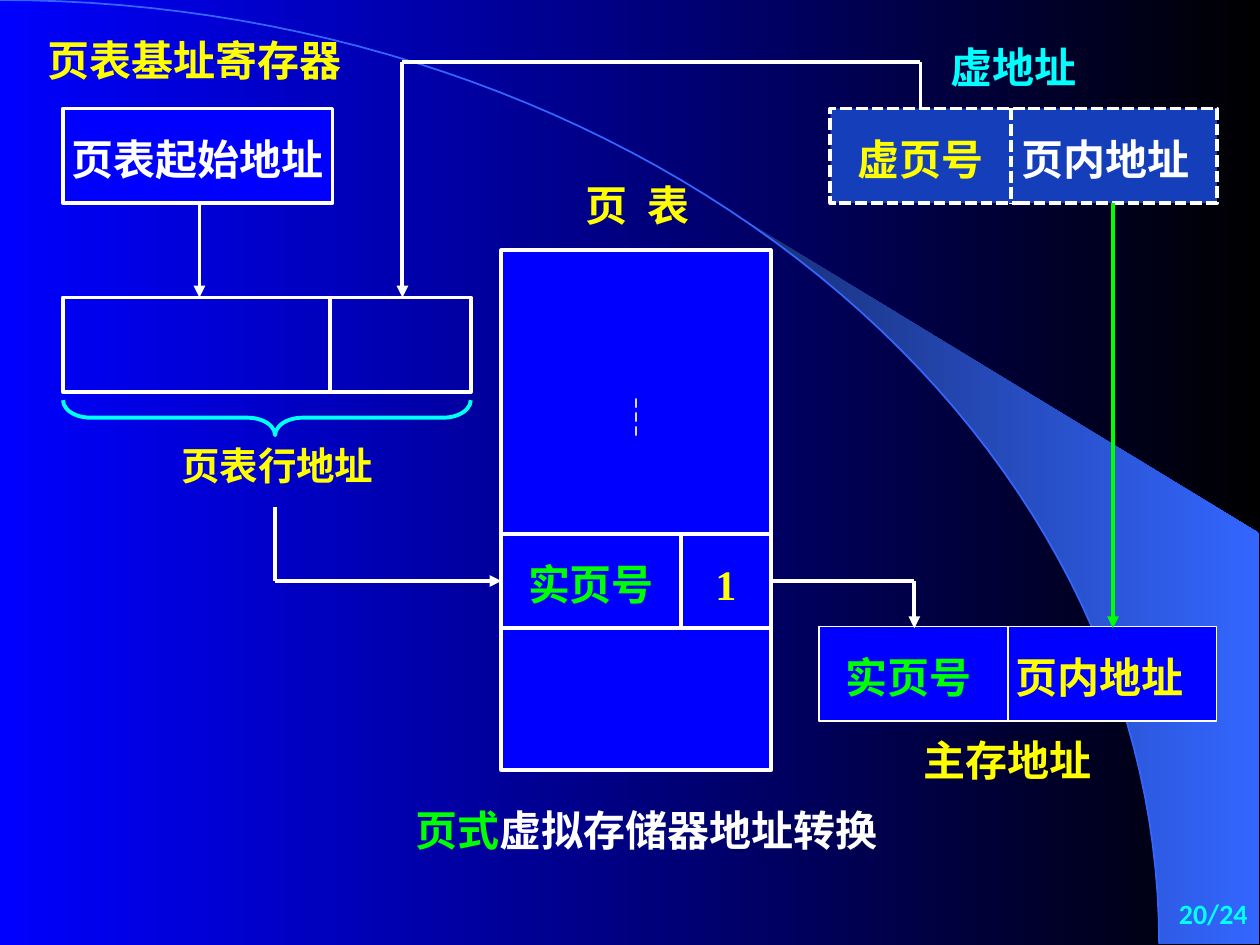
import math
from dataclasses import dataclass
from lxml import etree
from pptx import Presentation
from pptx.dml.color import RGBColor
from pptx.enum import dml, shapes, text
from pptx.oxml import ns
from pptx.util import Pt


@dataclass(frozen=True)
class Theme:
    white: str = "FFFFFF"
    black: str = "000000"
    blue: str = "0000FF"
    yellow: str = "FFFF00"
    cyan: str = "00FFFF"
    green: str = "00FF00"
    virtual_fill: str = "153FBA"
    glow_dark: str = "182F76"
    glow: str = "3366FF"
    latin: str = "Times New Roman"
    cjk: str = "Noto Sans CJK SC"
    number_font: str = "Calibri"
    body: float = 24
    small: float = 22
    number: float = 16
    thick: float = 2.25
    thin: float = 0.75


T = Theme()
LEFT, CENTER, RIGHT = text.PP_ALIGN.LEFT, text.PP_ALIGN.CENTER, text.PP_ALIGN.RIGHT
DASH = dml.MSO_LINE.SQUARE_DOT


def rgb(color):
    return RGBColor.from_string(color)


def set_gradient(fill, start, end):
    fill.gradient()
    fill.gradient_angle = 0
    for stop, color, position in zip(fill.gradient_stops, (start, end), (0, 1)):
        stop.color.rgb = rgb(color)
        stop.position = position


def set_line(line, color=T.white, width=T.thick, dash=None):
    line.color.rgb = rgb(color)
    line.width = Pt(width)
    if dash:
        line.dash_style = dash


def label(slide, box, runs, align=CENTER, size=T.body, font=T.latin,
          left=0, top=0, right=0, spacing=0):
    """One line of (words, color) runs, vertically centred in box."""
    frame = slide.shapes.add_textbox(*map(Pt, box)).text_frame
    frame.word_wrap = True
    frame.vertical_anchor = text.MSO_ANCHOR.MIDDLE
    frame.margin_left, frame.margin_top = Pt(left), Pt(top)
    frame.margin_right, frame.margin_bottom = Pt(right), 0
    line = frame.paragraphs[0]
    line.alignment = align
    for words, color in runs:
        run = line.add_run()
        run.text = words
        run.font.size, run.font.bold, run.font.name = Pt(size), True, font
        run.font.color.rgb = rgb(color)
        props = run.font._element
        etree.SubElement(props, ns.qn("a:ea")).set("typeface", T.cjk)
        if spacing:
            props.set("spc", str(spacing * 100))


def cell_text(slide, box, words, color, align=CENTER, left=0):
    label(slide, box, [(words, color)], align, left=left, top=3.6)


def frame_box(slide, box, fill=None, width=T.thick, dash=None):
    rect = slide.shapes.add_shape(shapes.MSO_SHAPE.RECTANGLE, *map(Pt, box))
    rect.shadow.inherit = False
    if fill:
        rect.fill.solid()
        rect.fill.fore_color.rgb = rgb(fill)
    else:
        rect.fill.background()
    set_line(rect.line, width=width, dash=dash)


def route(slide, points, color=T.white, arrow=True, dash=None):
    """Straight connectors through points, with an arrowhead on the last."""
    for start, end in zip(points, points[1:]):
        leg = slide.shapes.add_connector(
            shapes.MSO_CONNECTOR.STRAIGHT, *map(Pt, start + end))
        set_line(leg.line, color, dash=dash)
        if arrow and end == points[-1]:
            etree.SubElement(leg.line._get_or_add_ln(), ns.qn("a:tailEnd")).set("type", "triangle")
        etree.SubElement(leg._element.spPr, ns.qn("a:effectLst"))


def outline(slide, points, closed):
    start, *rest = [(Pt(x), Pt(y)) for x, y in points]
    builder = slide.shapes.build_freeform(*start)
    builder.add_line_segments(rest, close=closed)
    shape = builder.convert_to_shape()
    shape.shadow.inherit = False
    return shape


def backdrop(slide, x, y, w, h):
    set_gradient(slide.background.fill, T.blue, T.black)
    rx, ry = 0.92 * w, h - 0.7

    def arc(first, last, steps=60):
        angles = [math.radians(first + (last - first) * i / steps) for i in range(steps + 1)]
        return [(x + rx * math.sin(a), y + ry * (1 - math.cos(a))) for a in angles]

    # Glow between the tangent and the curve
    glow = outline(slide, arc(39.8, 90) + [(x + w - 0.7, y + ry), (x + w - 0.7, y + 304.6)], True)
    set_gradient(glow.fill, T.glow_dark, T.glow)
    glow.line.fill.background()
    # Curve
    curve = outline(slide, arc(0, 90), False)
    curve.fill.background()
    set_line(curve.line, T.glow, 1)


def base_register(slide, x, y, w, h):
    label(slide, (x - 8.6, y - 43, 180, 30), [("页表基址寄存器", T.yellow)], LEFT)
    frame_box(slide, (x, y, w, h), T.blue)
    cell_text(slide, (x, y, w, h), "页表起始地址", T.white)


def row_address(slide, x, y, w, h):
    frame_box(slide, (x, y, w, h))
    split = x + 152.6
    route(slide, [(split, y), (split, y + h)], arrow=False)
    # Brace below: a right brace turned to point down
    depth, middle = 20, y + h + 14.7
    brace = slide.shapes.add_shape(
        shapes.MSO_SHAPE.RIGHT_BRACE, Pt(x + w / 2 - depth / 2), Pt(middle - w / 2),
        Pt(depth), Pt(w))
    brace.rotation = 90
    brace.adjustments[0], brace.adjustments[1] = 0.79, 0.48
    brace.shadow.inherit = False
    brace.fill.background()
    set_line(brace.line, T.cyan)
    label(slide, (x + 62.5, y + h + 26.7, 120, 30), [("页表行地址", T.yellow)], size=T.small)


def virtual_address(slide, x, y, w, h):
    label(slide, (x + 59.5, y - 39, 90, 30), [("虚地址", T.cyan)])
    frame_box(slide, (x, y, w, h), T.virtual_fill, dash=DASH)
    page = 103
    route(slide, [(x + page, y), (x + page, y + h)], arrow=False, dash=DASH)
    cell_text(slide, (x, y, page, h), "虚页号", T.yellow)
    cell_text(slide, (x + page, y, w - page, h), "页内地址", T.white, LEFT, left=6)


def main_address(slide, x, y, w, h):
    page = 108
    frame_box(slide, (x + page, y, w - page, h), T.blue, T.thin)
    frame_box(slide, (x, y, page, h), T.blue, T.thin)
    cell_text(slide, (x, y, page, h), "实页号", T.green, LEFT, left=15)
    cell_text(slide, (x + page, y, w - page, h), "页内地址", T.yellow, LEFT, left=4.5)
    label(slide, (x + 48, y + h + 7.2, 120, 30), [("主存地址", T.yellow)])


def page_table(slide, x, y, w, h):
    label(slide, (x + 18, y - 41, 120, 30), [("页 表", T.yellow)], font=T.cjk, spacing=3)
    frame_box(slide, (x, y, w, h), T.blue)
    label(slide, (x, y + 80, w, 30), [("┆", T.white)], font=T.cjk)
    # Entry row: real page number and valid bit
    top, bottom, split = y + 162, y + 216, x + 102.5
    for edge in (top, bottom):
        route(slide, [(x, edge), (x + w, edge)], arrow=False)
    route(slide, [(split, top), (split, bottom)], arrow=False)
    cell_text(slide, (x, top, split - x, bottom - top), "实页号", T.green)
    cell_text(slide, (split, top, x + w - split, bottom - top), "1", T.yellow)


def data_paths(slide):
    route(slide, [(114, 116), (114, 170)])
    route(slide, [(157, 290), (157, 332), (286.5, 332)])
    route(slide, [(526, 62), (526, 35.5), (230, 35.5), (230, 170)])
    route(slide, [(440.5, 332), (522.5, 332), (522.5, 359)])
    route(slide, [(636, 116), (636, 359)], T.green)


def footer(slide, x, y, w, h):
    label(slide, (x + 229.5, y, 280, 30),
          [("页式", T.green), ("虚拟存储器地址转换", T.white)])
    label(slide, (x + w - 150, y + h - 36, 150, 36), [("20/24", T.cyan)],
          RIGHT, T.number, T.number_font, right=7.2)


def main():
    deck = Presentation()
    deck.slide_width, deck.slide_height = Pt(720), Pt(540)
    slide = deck.slides.add_slide(deck.slide_layouts[6])
    backdrop(slide, 0, 0, 720, 540)
    base_register(slide, 36, 62, 154, 54)
    row_address(slide, 36, 170, 233, 54)
    virtual_address(slide, 474.5, 62, 221, 54)
    main_address(slide, 468, 358, 227, 54)
    page_table(slide, 286.5, 143, 154, 297)
    data_paths(slide)
    footer(slide, 0, 459, 720, 81)
    deck.save("out.pptx")


if __name__ == "__main__":
    main()
